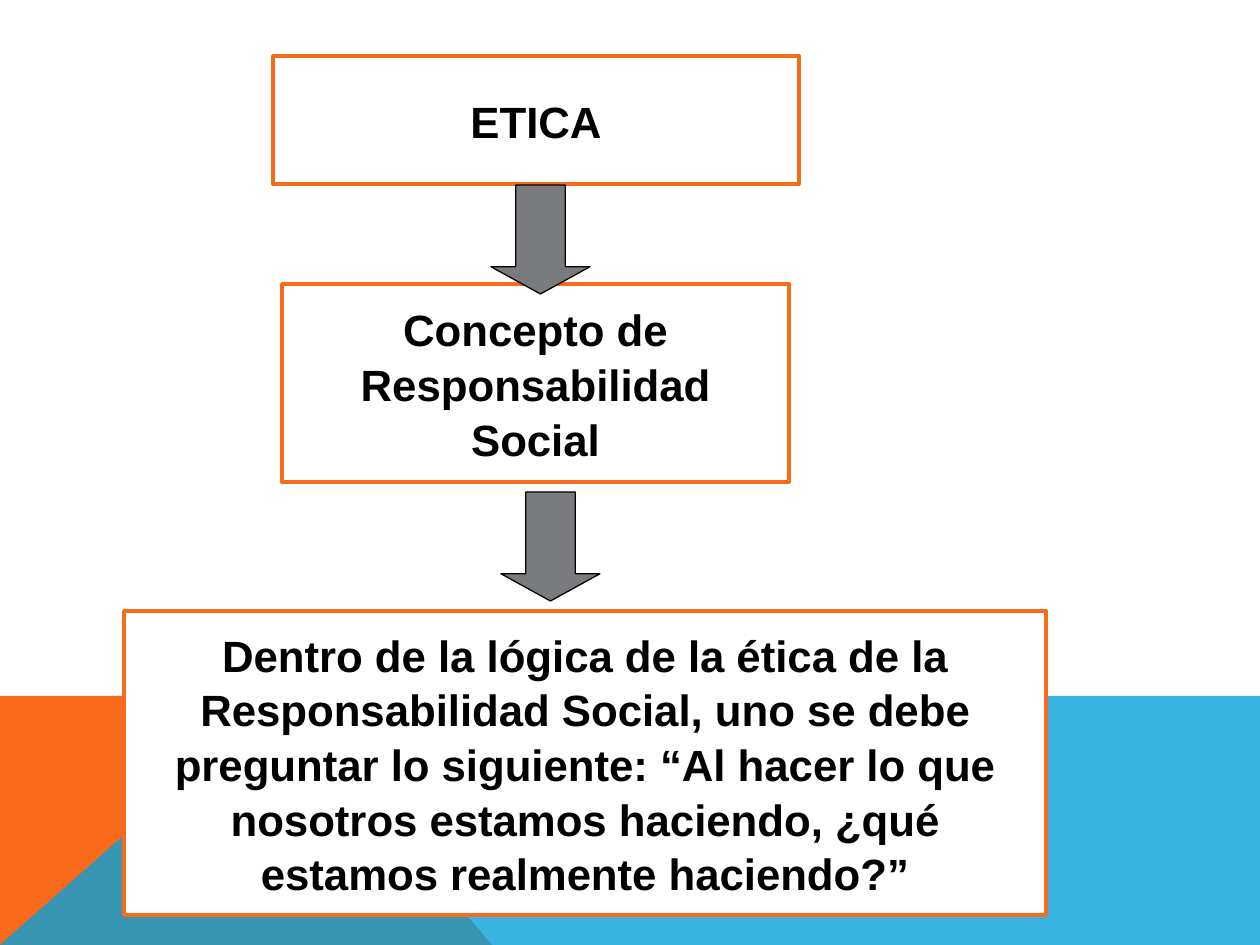
"""Build the slide that leads from ethics to social responsibility."""
from lxml.etree import SubElement
from pptx import Presentation
from pptx.dml.color import RGBColor
from pptx.enum.shapes import MSO_SHAPE as SHAPE
from pptx.enum.text import MSO_ANCHOR as ANCHOR, PP_ALIGN as ALIGN
from pptx.oxml.ns import qn
from pptx.util import Pt

PX = 914400 // 126
WIDTH, HEIGHT = 1260, 945
ORANGE, BLUE, GREY, WHITE, BLACK = "F96A1B", "08A1D9", "797B7E", "FFFFFF", "000000"

BANDS = [
    ([(0, 945), (0, 696), (281, 696), (492, 945)], ORANGE, 100),
    ([(0, 945), (281, 696), (1260, 696), (1260, 945)], BLUE, 80),
]
BOXES = [
    ("ETICA", (273, 56, 526, 128)),
    ("Concepto de Responsabilidad Social", (282, 284, 507, 198)),
    ("Dentro de la lógica de la ética de la Responsabilidad Social, uno se debe "
     "preguntar lo siguiente: “Al hacer lo que nosotros estamos haciendo, ¿qué "
     "estamos realmente haciendo?”", (124, 611, 922, 304)),
]
ARROWS = [(491, 185), (501, 492)]
ARROW_SIZE = (99, 109)


def rgb(color):
    return RGBColor.from_string(color)


def paint(sp, fill, line=None, width=0):
    sp.shadow.inherit = False
    sp.fill.solid()
    sp.fill.fore_color.rgb = rgb(fill)
    if line:
        sp.line.color.rgb = rgb(line)
        sp.line.width = Pt(width)
    else:
        sp.line.fill.background()


def add_band(shapes, points, color, opacity):
    builder = shapes.build_freeform(*points[0], scale=PX)
    builder.add_line_segments(points[1:], close=True)
    sp = builder.convert_to_shape()
    paint(sp, color)
    if opacity < 100:
        clr = sp.fill._xPr.find(qn("a:solidFill"))[0]
        SubElement(clr, qn("a:alpha")).set("val", str(opacity * 1000))


def add_preset(shapes, kind, frame, *style):
    sp = shapes.add_shape(kind, *(v * PX for v in frame))
    paint(sp, *style)
    return sp


def add_box(shapes, text, frame):
    tf = add_preset(shapes, SHAPE.RECTANGLE, frame, WHITE, ORANGE, 2).text_frame
    tf.word_wrap = True
    tf.vertical_anchor = ANCHOR.MIDDLE
    tf.text = text
    p = tf.paragraphs[0]
    p.alignment = ALIGN.CENTER
    p.line_spacing = 1.04
    font = p.runs[0].font
    font.name, font.size, font.bold = "Arial", Pt(25), True
    font.color.rgb = rgb(BLACK)


def main():
    prs = Presentation()
    prs.slide_width, prs.slide_height = WIDTH * PX, HEIGHT * PX
    shapes = prs.slides.add_slide(prs.slide_layouts[6]).shapes
    for band in BANDS:
        add_band(shapes, *band)
    for box in BOXES:
        add_box(shapes, *box)
    for corner in ARROWS:
        sp = add_preset(shapes, SHAPE.DOWN_ARROW, corner + ARROW_SIZE, GREY, BLACK, 0.75)
        sp.adjustments[0], sp.adjustments[1] = 0.5, 0.275
    prs.save("out.pptx")


if __name__ == "__main__":
    main()
